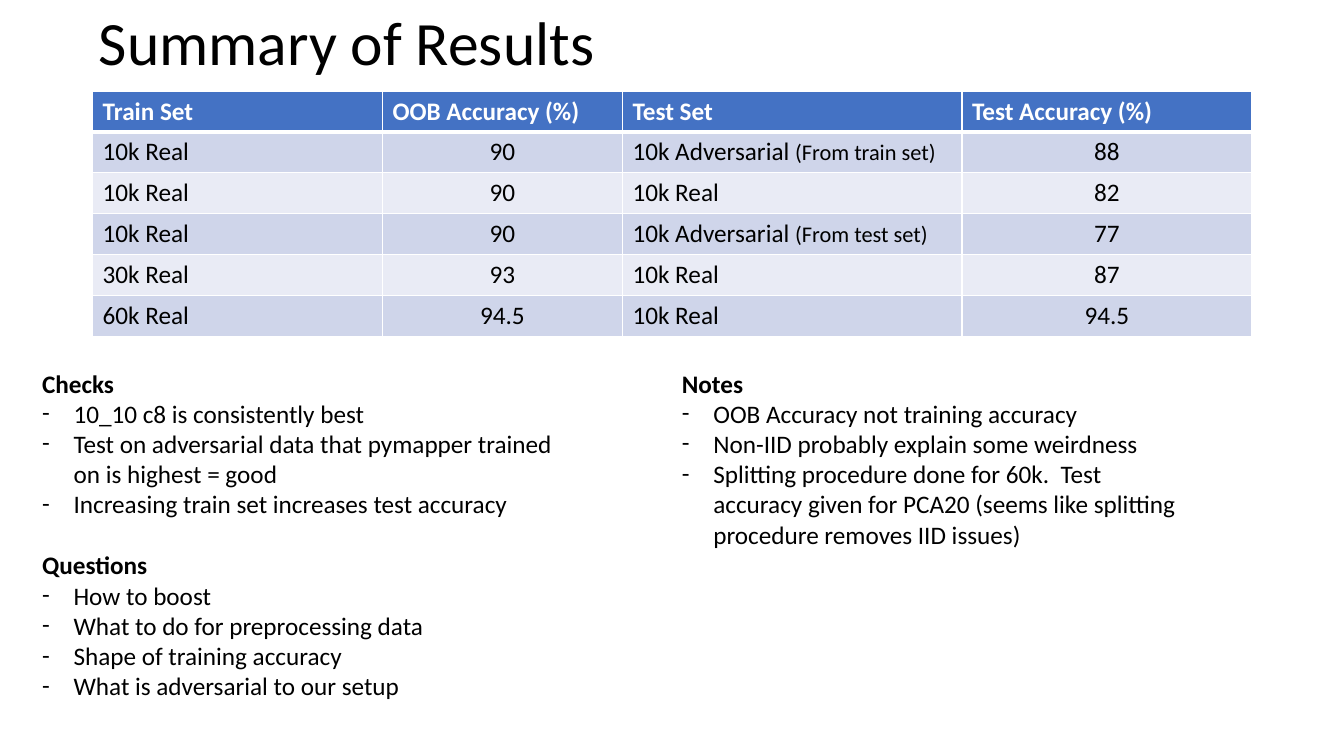
from lxml.etree import SubElement
from pptx import Presentation
from pptx.dml.color import RGBColor
from pptx.enum.text import MSO_ANCHOR, MSO_AUTO_SIZE, PP_ALIGN
from pptx.oxml.ns import qn
from pptx.util import Pt

FONT, BLACK, WHITE = "Calibri", "000000", "FFFFFF"
HEADER, BANDS = "4472C4", ("CFD5EA", "E9EBF5")


def color(value):
    return RGBColor.from_string(value)


class Deck:
    def __init__(self, width, height):
        self.prs = Presentation()
        self.prs.slide_width, self.prs.slide_height = Pt(width), Pt(height)
        self.s = self.prs.slides.add_slide(self.prs.slide_layouts[5])

    def style(self, p, size=18, bold=False, value=BLACK):
        for r in p.runs:
            r.font.name, r.font.size, r.font.bold = FONT, Pt(size), bold
            r.font.color.rgb = color(value)

    def place(self, sp, left, top, width, height):
        sp.left, sp.top = Pt(left), Pt(top)
        sp.width, sp.height = Pt(width), Pt(height)

    def title(self, text, *box):
        sp = self.s.shapes.title
        self.place(sp, *box)
        tf = sp.text_frame
        tf.text = text
        tf.vertical_anchor = MSO_ANCHOR.MIDDLE
        p = tf.paragraphs[0]
        p.alignment, p.line_spacing = PP_ALIGN.LEFT, 0.9
        self.style(p, 44)

    def borders(self, cell, bottom):
        tcPr = cell._tc.get_or_add_tcPr()
        for i, (side, width) in enumerate(zip("LRTB", (1, 1, 1, bottom))):
            ln = tcPr.makeelement(qn(f"a:ln{side}"), {"w": str(Pt(width))})
            fill = SubElement(ln, qn("a:solidFill"))
            SubElement(fill, qn("a:srgbClr"), val=WHITE)
            tcPr.insert(i, ln)

    def table(self, rows, widths, row_height, left, top):
        frame = self.s.shapes.add_table(
            len(rows), len(widths), Pt(left), Pt(top),
            Pt(sum(widths)), Pt(row_height * len(rows)))
        for column, width in zip(frame.table.columns, widths):
            column.width = Pt(width)
        for i, row in enumerate(rows):
            header = i == 0
            for j, text in enumerate(row):
                cell = frame.table.cell(i, j)
                cell.fill.solid()
                cell.fill.fore_color.rgb = color(HEADER if header else BANDS[(i - 1) % 2])
                self.borders(cell, 3 if header else 1)
                p = cell.text_frame.paragraphs[0]
                main, note = text if isinstance(text, tuple) else (text, "")
                p.text = main
                if note:
                    p.add_run().text = note
                self.style(p, 18, header, WHITE if header else BLACK)
                if note:
                    p.runs[-1].font.size = Pt(16)
                if not header and j % 2:
                    p.alignment = PP_ALIGN.CENTER

    def dash(self, p):
        pPr = p._p.get_or_add_pPr()
        pPr.set("marL", str(Pt(22.5)))
        pPr.set("indent", str(-Pt(22.5)))
        SubElement(pPr, qn("a:buFont"), typeface=FONT)
        SubElement(pPr, qn("a:buChar"), char="-")

    def lists(self, sections, *box):
        tf = self.s.shapes.add_textbox(*map(Pt, box)).text_frame
        tf.word_wrap, tf.auto_size = True, MSO_AUTO_SIZE.SHAPE_TO_FIT_TEXT
        for i, (heading, items) in enumerate(sections):
            p = tf.add_paragraph() if i else tf.paragraphs[0]
            p.text = heading
            if i:
                p.space_before = Pt(22)
            self.style(p, bold=True)
            for item in items:
                p = tf.add_paragraph()
                p.text = item
                self.dash(p)
                self.style(p)


results = [
    ("Train Set", "OOB Accuracy (%)", "Test Set", "Test Accuracy (%)"),
    ("10k Real", "90", ("10k Adversarial ", "(From train set)"), "88"),
    ("10k Real", "90", "10k Real", "82"),
    ("10k Real", "90", ("10k Adversarial ", "(From test set)"), "77"),
    ("30k Real", "93", "10k Real", "87"),
    ("60k Real", "94.5", "10k Real", "94.5"),
]
checks = ("Checks", [
    "10_10 c8 is consistently best",
    "Test on adversarial data that pymapper trained on is highest = good",
    "Increasing train set increases test accuracy",
])
questions = ("Questions", [
    "How to boost",
    "What to do for preprocessing data",
    "Shape of training accuracy",
    "What is adversarial to our setup",
])
notes = ("Notes", [
    "OOB Accuracy not training accuracy",
    "Non-IID probably explain some weirdness",
    "Splitting procedure done for 60k.  Test accuracy given for PCA20 "
    "(seems like splitting procedure removes IID issues)",
])

deck = Deck(960, 540)
deck.title("Summary of Results", 63.4, -19.4, 828, 104.4)
deck.table(results, (207, 171.5, 242.5, 207), 29.2, 66.2, 65)
deck.lists([checks, questions], 23, 259.2, 381.6, 312.5)
deck.lists([notes], 480, 259.2, 381.6, 225.4)
deck.prs.save("out.pptx")
